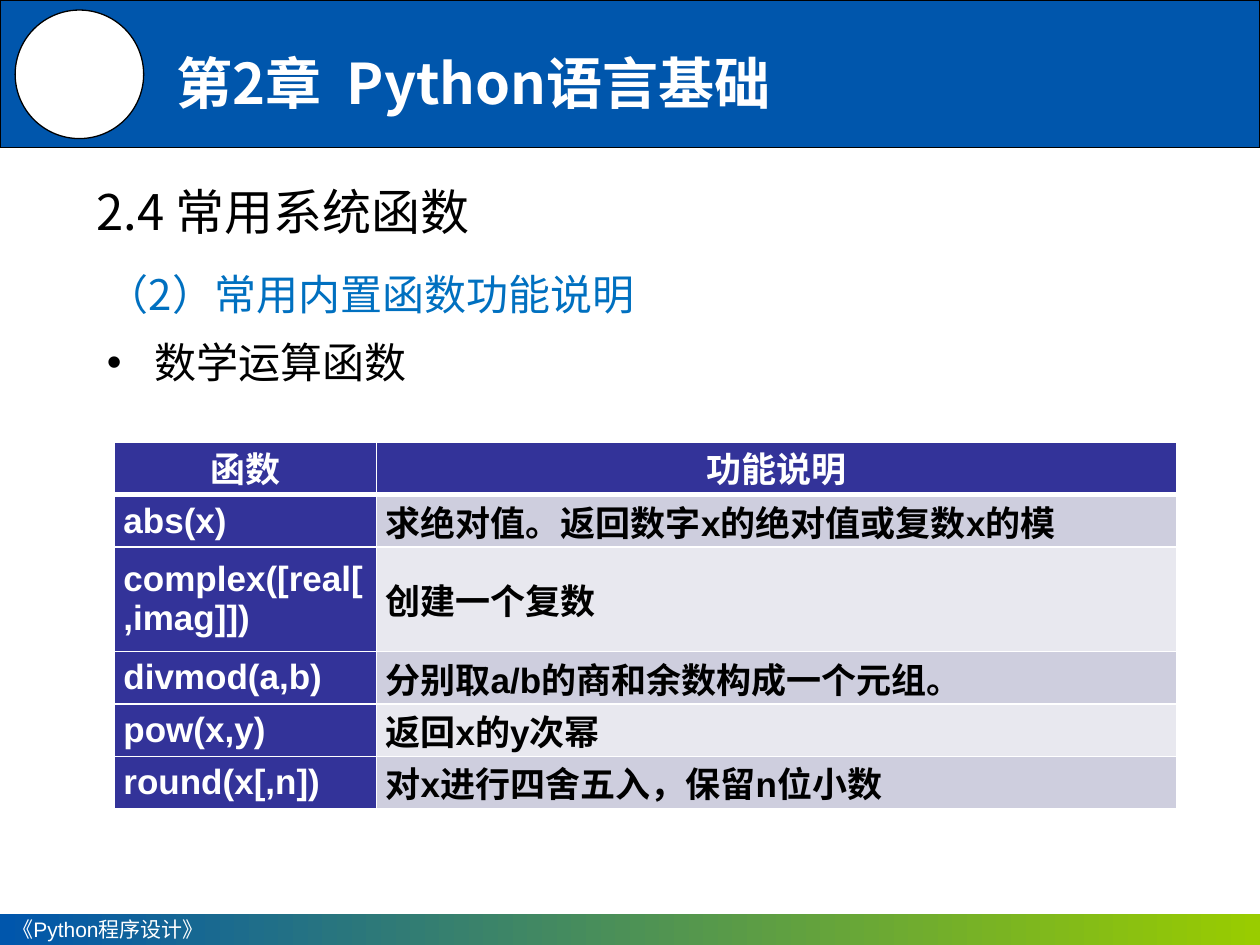
import dataclasses

import lxml.etree
import pptx
import pptx.dml.color
import pptx.enum.shapes
import pptx.enum.text
import pptx.oxml.ns
import pptx.util

COLUMNS, ROWS = 100, 75
CELL = pptx.util.Inches(0.1)
SHAPE = pptx.enum.shapes.MSO_SHAPE
ALIGN = pptx.enum.text.PP_ALIGN
MIDDLE = pptx.enum.text.MSO_ANCHOR.MIDDLE


@dataclasses.dataclass(frozen=True)
class Theme:
    blue: str = "0056AC"
    green: str = "99CC00"
    accent: str = "0070C0"
    navy: str = "333399"
    bands: tuple = ("CECEDE", "E8E8EF")
    white: str = "FFFFFF"
    black: str = "000000"
    sans: str = "Arial"
    cjk: str = "Noto Sans CJK SC"
    title: int = 32
    heading: int = 28
    body: int = 24
    table: int = 20
    footer: int = 12
    leading: int = 39
    outline: float = 0.75


@dataclasses.dataclass(frozen=True)
class Box:
    x: float
    y: float
    w: float
    h: float

    def inner(self, dx, dy, w, h):
        return Box(self.x + dx, self.y + dy, w, h)

    def emu(self):
        return [round(v * CELL) for v in (self.x, self.y, self.w, self.h)]


THEME = Theme()


def rgb(value):
    return pptx.dml.color.RGBColor.from_string(value)


def add_xml(parent, tag, **attributes):
    return lxml.etree.SubElement(parent, pptx.oxml.ns.qn(tag), attributes)


def style(p, size, color, font=THEME.cjk, bold=False):
    for r in p.runs:
        r.font.size = pptx.util.Pt(size)
        r.font.bold = bold
        r.font.color.rgb = rgb(color)
        r.font.name = font
        add_xml(r._r.get_or_add_rPr(), "a:ea", typeface=THEME.cjk)


def add_text(s, box, *lines):
    tf = s.shapes.add_textbox(*box.emu()).text_frame
    tf.word_wrap = True
    tf.text = "\n".join(lines)
    return tf


def add_panel(s, kind, box, fill=None):
    sp = s.shapes.add_shape(kind, *box.emu())
    sp.shadow.inherit = False
    if fill:
        sp.fill.solid()
        sp.fill.fore_color.rgb = rgb(fill)
        sp.line.color.rgb = rgb(THEME.black)
        sp.line.width = pptx.util.Pt(THEME.outline)
    else:
        sp.line.fill.background()
    return sp


def add_header(s, box, title):
    add_panel(s, SHAPE.RECTANGLE, box, THEME.blue)
    add_panel(s, SHAPE.OVAL, box.inner(1.2, 0.8, 10.2, 10.2), THEME.white)
    tf = add_text(s, box.inner(13, 1.5, 64.6, 10), title)
    tf.vertical_anchor = MIDDLE
    style(tf.paragraphs[0], THEME.title, THEME.white, bold=True)


def add_footer(s, box, text):
    sp = add_panel(s, SHAPE.RECTANGLE, box)
    sp.fill.gradient()
    sp.fill.gradient_angle = 0
    for position, (stop, color) in enumerate(
        zip(sp.fill.gradient_stops, (THEME.blue, THEME.green))
    ):
        stop.position = position
        stop.color.rgb = rgb(color)
    tf = sp.text_frame
    tf.word_wrap = False
    tf.vertical_anchor = MIDDLE
    tf.text = text
    p = tf.paragraphs[0]
    p.alignment = ALIGN.LEFT
    style(p, THEME.footer, THEME.white, THEME.sans)


def add_outline(s, box, heading, topic, item):
    tf = add_text(s, box.inner(0, 0, 39.4, 6.3), heading)
    style(tf.paragraphs[0], THEME.heading, THEME.black)

    tf = add_text(s, box.inner(0.8, 5.5, 85.8, 11.9), topic, item)
    for p, color in zip(tf.paragraphs, (THEME.accent, THEME.black)):
        p.line_spacing = pptx.util.Pt(THEME.leading)
        style(p, THEME.body, color)
    pPr = tf.paragraphs[1]._p.get_or_add_pPr()
    indent = pptx.util.Inches(0.38)
    pPr.set("marL", str(indent))
    pPr.set("indent", str(-indent))
    add_xml(pPr, "a:buFont", typeface=THEME.sans)
    add_xml(pPr, "a:buChar", char="•")


def add_borders(cell, widths):
    tcPr = cell._tc.get_or_add_tcPr()
    for index, (side, width) in enumerate(zip("LRTB", widths)):
        ln = add_xml(tcPr, f"a:ln{side}", w=str(pptx.util.Pt(width)))
        add_xml(add_xml(ln, "a:solidFill"), "a:srgbClr", val=THEME.white)
        tcPr.insert(index, ln)


def add_function_table(s, box, records, widths, heights):
    table = s.shapes.add_table(len(records), len(widths), *box.emu()).table
    for column, width in zip(table.columns, widths):
        column.width = round(width * CELL)
    for row, height in zip(table.rows, heights):
        row.height = round(height * CELL)
    for i, record in enumerate(records):
        for j, text in enumerate(record):
            cell = table.cell(i, j)
            dark = i == 0 or j == 0
            cell.fill.solid()
            cell.fill.fore_color.rgb = rgb(
                THEME.navy if dark else THEME.bands[(i - 1) % 2]
            )
            cell.margin_left = cell.margin_right = pptx.util.Inches(0.07)
            cell.margin_top = cell.margin_bottom = 0
            cell.text_frame.text = text
            p = cell.text_frame.paragraphs[0]
            p.alignment = ALIGN.JUSTIFY if i else ALIGN.CENTER
            if i:
                cell.vertical_anchor = MIDDLE
            color = THEME.white if dark else THEME.black
            style(p, THEME.table, color, THEME.sans, bold=True)
            add_borders(cell, (1, 1, 3 if i == 1 else 1, 3 if i == 0 else 1))


def main():
    prs = pptx.Presentation()
    prs.slide_width = COLUMNS * CELL
    prs.slide_height = ROWS * CELL
    s = prs.slides.add_slide(prs.slide_layouts[6])
    page = Box(0, 0, COLUMNS, ROWS)

    add_header(s, page.inner(0, 0, COLUMNS, 11.7), "第2章  Python语言基础")
    add_footer(s, page.inner(0, ROWS - 2.5, COLUMNS, 2.5), "《Python程序设计》")
    add_outline(
        s,
        page.inner(6.7, 13.9, 86.6, 17.4),
        "2.4 常用系统函数",
        "（2）常用内置函数功能说明",
        "数学运算函数",
    )
    records = [
        ("函数", "功能说明"),
        ("abs(x)", "求绝对值。返回数字x的绝对值或复数x的模"),
        ("complex([real[,imag]])", "创建一个复数"),
        ("divmod(a,b)", "分别取a/b的商和余数构成一个元组。"),
        ("pow(x,y)", "返回x的y次幂"),
        ("round(x[,n])", "对x进行四舍五入，保留n位小数"),
    ]
    heights = [8.3 if name.startswith("complex") else 4.16 for name, _ in records]
    box = page.inner(9.1, 35.1, 84.3, sum(heights))
    add_function_table(s, box, records, (20.8, 63.5), heights)
    prs.save("out.pptx")


if __name__ == "__main__":
    main()
